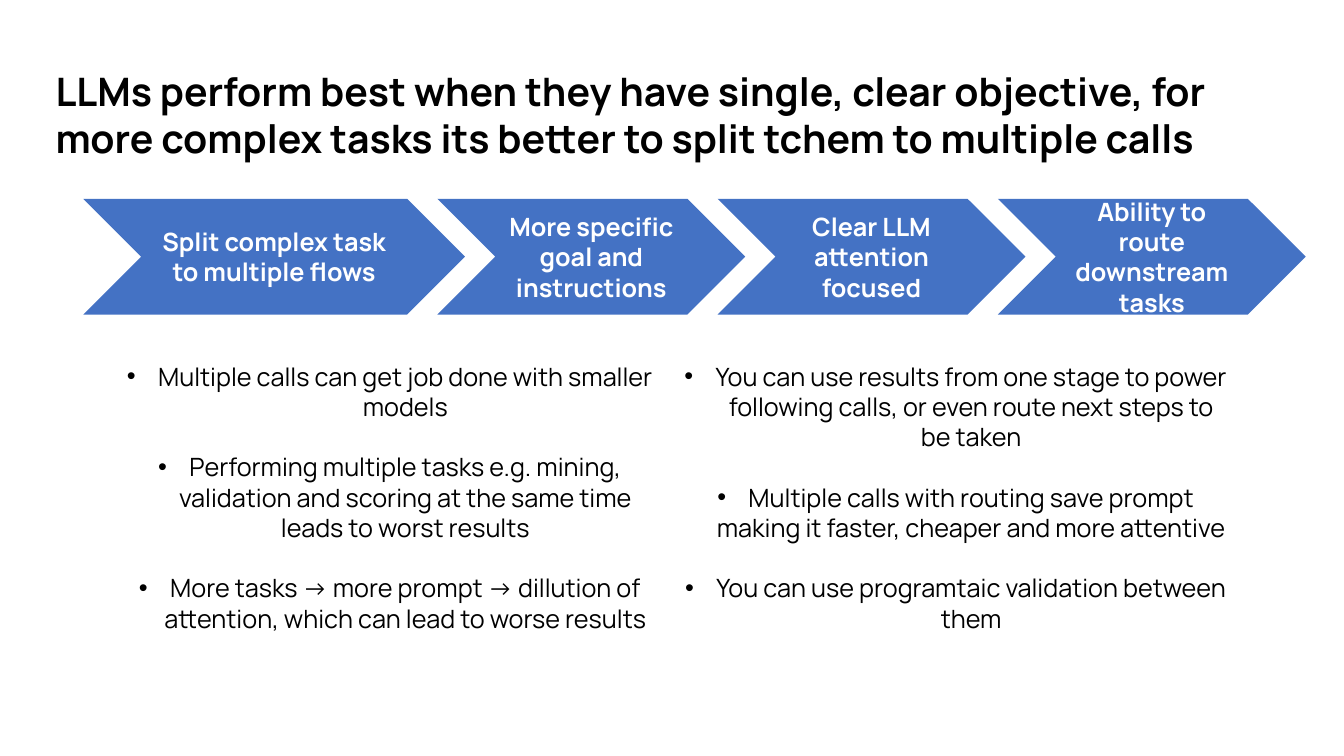
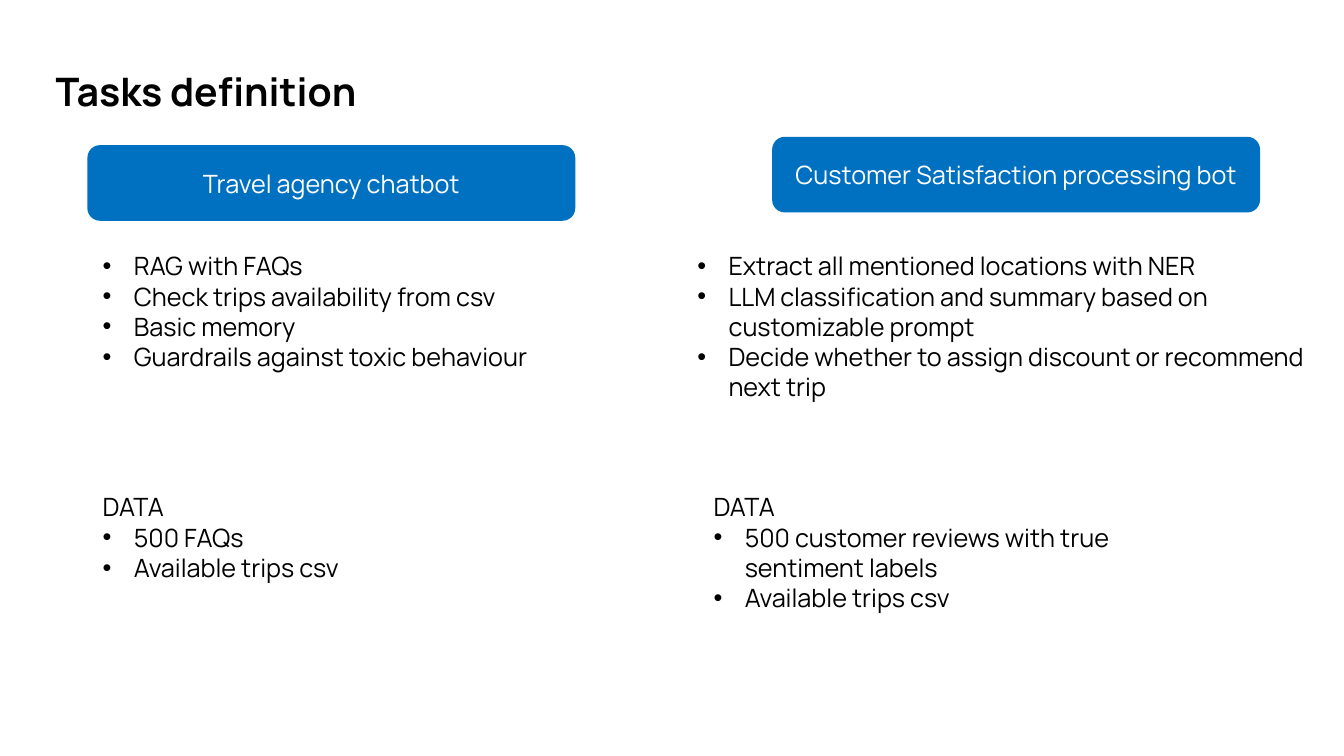
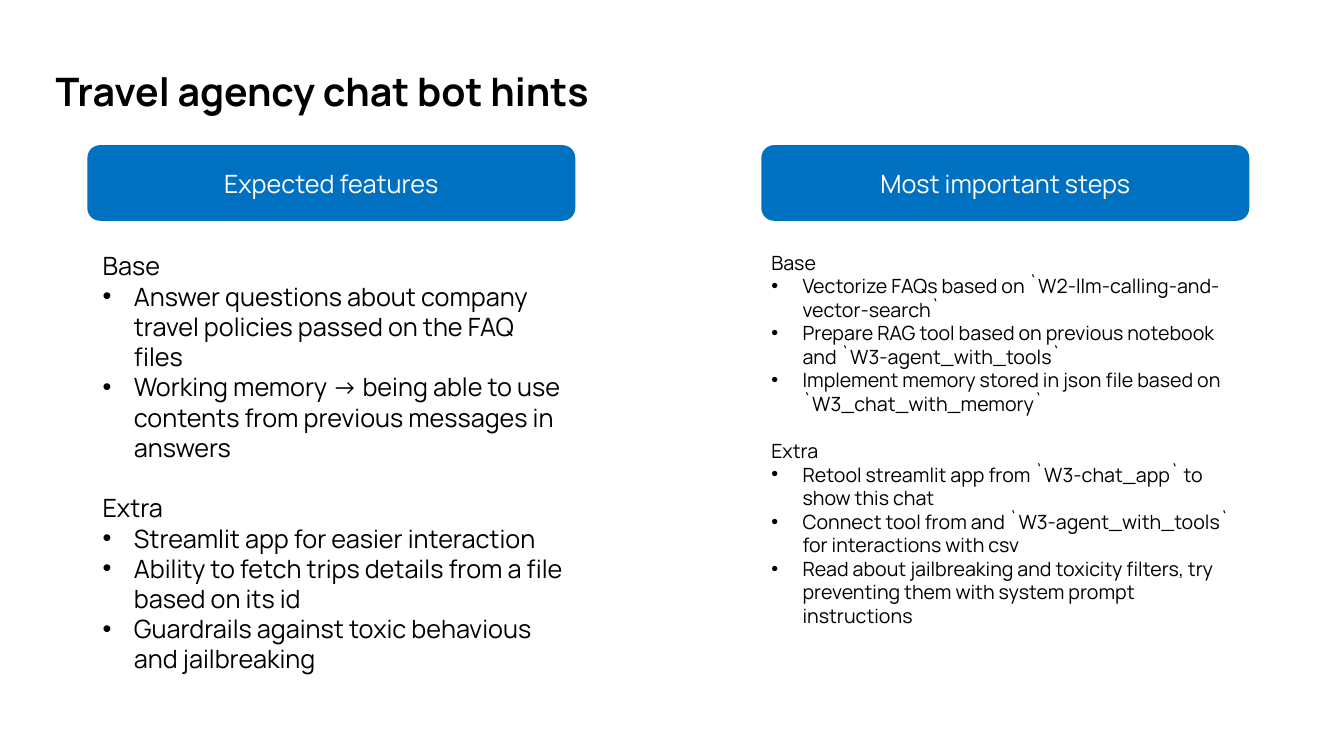
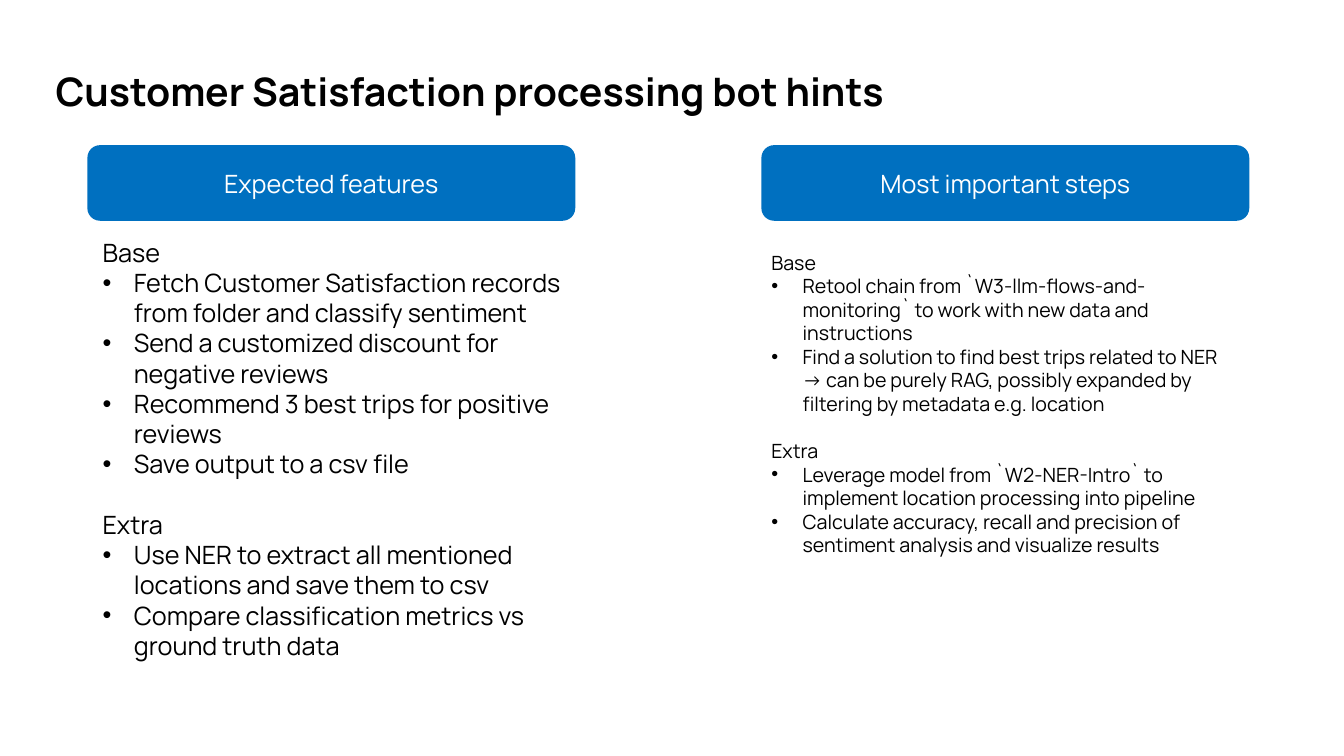
import lxml.etree
import pptx
import pptx.dml.color
import pptx.enum.shapes
import pptx.enum.text
import pptx.oxml.ns
import pptx.util

# Shared style
FONT = "Manrope"
BLACK = pptx.dml.color.RGBColor(0x00, 0x00, 0x00)
WHITE = pptx.dml.color.RGBColor(0xFF, 0xFF, 0xFF)
CHEVRON_BLUE = pptx.dml.color.RGBColor(0x44, 0x72, 0xC4)
HEADER_BLUE = pptx.dml.color.RGBColor(0x00, 0x70, 0xC0)
TITLE_SIZE, BODY_SIZE, SMALL_SIZE = 28, 18, 14
LINE_HEIGHT = 1.2
INDENT = pptx.util.Inches(0.31)
CENTER = pptx.enum.text.PP_ALIGN.CENTER
LEFT = pptx.enum.text.PP_ALIGN.LEFT
SHAPES = pptx.enum.shapes.MSO_SHAPE

# Layout, in percent of the slide's width (x) or height (y)
WIDTH, HEIGHT = pptx.util.Inches(13.33), pptx.util.Inches(7.5)
HEADER_LEFT, HEADER_RIGHT = 6.5, 56.65
HEADER_TOP, HEADER_WIDTH, HEADER_HEIGHT = 19.2, 36.3, 10
LIST_LEFT, LIST_TOP, LIST_WIDTH = 6.9, 32.5, 35.9


def place(left, top, width, height):
    """Turn percentages of the slide into lengths."""
    return (int(WIDTH * left / 100), int(HEIGHT * top / 100),
            int(WIDTH * width / 100), int(HEIGHT * height / 100))


def add_span(para, text, size, color=BLACK, bold=False):
    span = para.add_run()
    span.text = text
    span.font.name = FONT
    span.font.size = pptx.util.Pt(size)
    span.font.color.rgb = color
    span.font.bold = bold


def add_bullet(para):
    properties = para._p.get_or_add_pPr()
    properties.set("marL", str(INDENT))
    properties.set("indent", str(-INDENT))
    for tag, name, value in (("a:buFont", "typeface", "Arial"),
                             ("a:buChar", "char", "•")):
        element = lxml.etree.SubElement(properties, pptx.oxml.ns.qn(tag))
        element.set(name, value)


def add_text_frame(page, area):
    frame = page.shapes.add_textbox(*place(*area)).text_frame
    frame.word_wrap = True
    frame.auto_size = pptx.enum.text.MSO_AUTO_SIZE.SHAPE_TO_FIT_TEXT
    return frame


def add_page(deck, title, lines=1):
    page = deck.slides.add_slide(deck.slide_layouts[6])
    frame = add_text_frame(page, (3.4, 8.3, 93.3, 1.35 + 6.25 * lines))
    add_span(frame.paragraphs[0], title, TITLE_SIZE, bold=True)
    return page


def add_label(page, kind, area, text, fill, bold=False):
    """Add a filled shape with centred white text."""
    shape = page.shapes.add_shape(kind, *place(*area))
    shape.shadow.inherit = False
    shape.fill.solid()
    shape.fill.fore_color.rgb = fill
    shape.line.fill.background()
    shape.text_frame.word_wrap = True
    shape.text_frame.vertical_anchor = pptx.enum.text.MSO_ANCHOR.MIDDLE
    para = shape.text_frame.paragraphs[0]
    para.alignment = CENTER
    add_span(para, text, BODY_SIZE, WHITE, bold)


def add_header(page, text, left=HEADER_LEFT, top=HEADER_TOP):
    add_label(page, SHAPES.ROUNDED_RECTANGLE,
              (left, top, HEADER_WIDTH, HEADER_HEIGHT), text, HEADER_BLUE)


def add_list(page, area, groups, size=BODY_SIZE, align=LEFT):
    """Add groups of (heading, bullets), one line of space between groups."""
    frame = add_text_frame(page, area)
    para = None
    for heading, bullets in groups:
        lines = [(heading, False)] if heading else []
        lines += [(bullet, True) for bullet in bullets]
        for position, (text, bulleted) in enumerate(lines):
            first = para is None
            para = frame.paragraphs[0] if first else frame.add_paragraph()
            para.alignment = align
            if position == 0 and not first:
                para.space_before = pptx.util.Pt(size * LINE_HEIGHT)
            if bulleted:
                add_bullet(para)
            add_span(para, text, size)


def add_chevrons(page, labels):
    left, overlap = 6.2, 2.05
    for number, label in enumerate(labels):
        width = 22.9 if number else 28.4
        add_label(page, SHAPES.CHEVRON, (left, 26.3, width, 15.3), label,
                  CHEVRON_BLUE, bold=True)
        left += width - overlap


def add_split_calls(deck):
    page = add_page(deck, "LLMs perform best when they have single, clear objective, "
                    "for more complex tasks its better to split tchem to multiple calls",
                    lines=2)
    add_chevrons(page, ["Split complex task to multiple flows",
                        "More specific goal and instructions",
                        "Clear LLM attention focused",
                        "Ability to route downstream tasks"])
    columns = [
        ["Multiple calls can get job done with smaller models",
         "Performing multiple tasks e.g. mining, validation and scoring at the same "
         "time leads to worst results",
         "More tasks -> more prompt -> dillution of attention, which can lead to "
         "worse results"],
        ["You can use results from one stage to power following calls, or even route "
         "next steps to be taken",
         "Multiple calls with routing save prompt making it faster, cheaper and more "
         "attentive",
         "You can use programtaic validation between them"],
    ]
    width = 42.1
    for number, bullets in enumerate(columns):
        add_list(page, (7.95 + number * width, 47.1, width, 41.7),
                 [(None, [bullet]) for bullet in bullets], align=CENTER)


def add_tasks(deck):
    page = add_page(deck, "Tasks definition")
    add_header(page, "Travel agency chatbot")
    add_header(page, "Customer Satisfaction processing bot", 57.45, 18.1)
    # Tasks
    add_list(page, (LIST_LEFT, LIST_TOP, LIST_WIDTH, 21.6), [
        (None, ["RAG with FAQs", "Check trips availability from csv", "Basic memory",
                "Guardrails against toxic behaviour"])])
    add_list(page, (51.15, LIST_TOP, 48.85, 21.6), [
        (None, ["Extract all mentioned locations with NER",
                "LLM classification and summary based on customizable prompt",
                "Decide whether to assign discount or recommend next trip"])])
    # Data
    add_list(page, (LIST_LEFT, 64.4, LIST_WIDTH, 13.5),
             [("DATA", ["500 FAQs", "Available trips csv"])])
    add_list(page, (52.35, 64.4, LIST_WIDTH, 17.5),
             [("DATA", ["500 customer reviews with true sentiment labels",
                        "Available trips csv"])])


def add_hints(deck, title, features, steps, features_top=LIST_TOP):
    page = add_page(deck, title)
    add_header(page, "Expected features")
    add_header(page, "Most important steps", HEADER_RIGHT)
    add_list(page, (LIST_LEFT, features_top, LIST_WIDTH, 100 - features_top),
             zip(("Base", "Extra"), features))
    add_list(page, (HEADER_RIGHT, LIST_TOP, LIST_WIDTH, 56),
             zip(("Base", "Extra"), steps), SMALL_SIZE)


def main():
    deck = pptx.Presentation()
    deck.slide_width, deck.slide_height = WIDTH, HEIGHT
    add_split_calls(deck)
    add_tasks(deck)
    add_hints(
        deck, "Travel agency chat bot hints",
        features=[
            ["Answer questions about company travel policies passed on the FAQ files",
             "Working memory -> being able to use contents from previous messages in "
             "answers"],
            ["Streamlit app for easier interaction",
             "Ability to fetch trips details from a file based on its id",
             "Guardrails against toxic behavious and jailbreaking"]],
        steps=[
            ["Vectorize FAQs based on `W2-llm-calling-and-vector-search`",
             "Prepare RAG tool based on previous notebook and `W3-agent_with_tools`",
             "Implement memory stored in json file based on `W3_chat_with_memory`"],
            ["Retool streamlit app from `W3-chat_app` to show this chat",
             "Connect tool from and `W3-agent_with_tools` for interactions with csv",
             "Read about jailbreaking and toxicity filters, try preventing them with "
             "system prompt instructions"]])
    add_hints(
        deck, "Customer Satisfaction processing bot hints",
        features=[
            ["Fetch Customer Satisfaction records from folder and classify sentiment",
             "Send a customized discount for negative reviews",
             "Recommend 3 best trips for positive reviews",
             "Save output to a csv file"],
            ["Use NER to extract all mentioned locations and save them to csv",
             "Compare classification metrics vs ground truth data"]],
        steps=[
            ["Retool chain from `W3-llm-flows-and-monitoring` to work with new data and "
             "instructions",
             "Find a solution to find best trips related to NER -> can be purely RAG, "
             "possibly expanded by filtering by metadata e.g. location"],
            ["Leverage model from `W2-NER-Intro` to implement location processing into "
             "pipeline",
             "Calculate accuracy, recall and precision of sentiment analysis and "
             "visualize results"]],
        features_top=30.7)
    deck.save("out.pptx")


if __name__ == "__main__":
    main()
